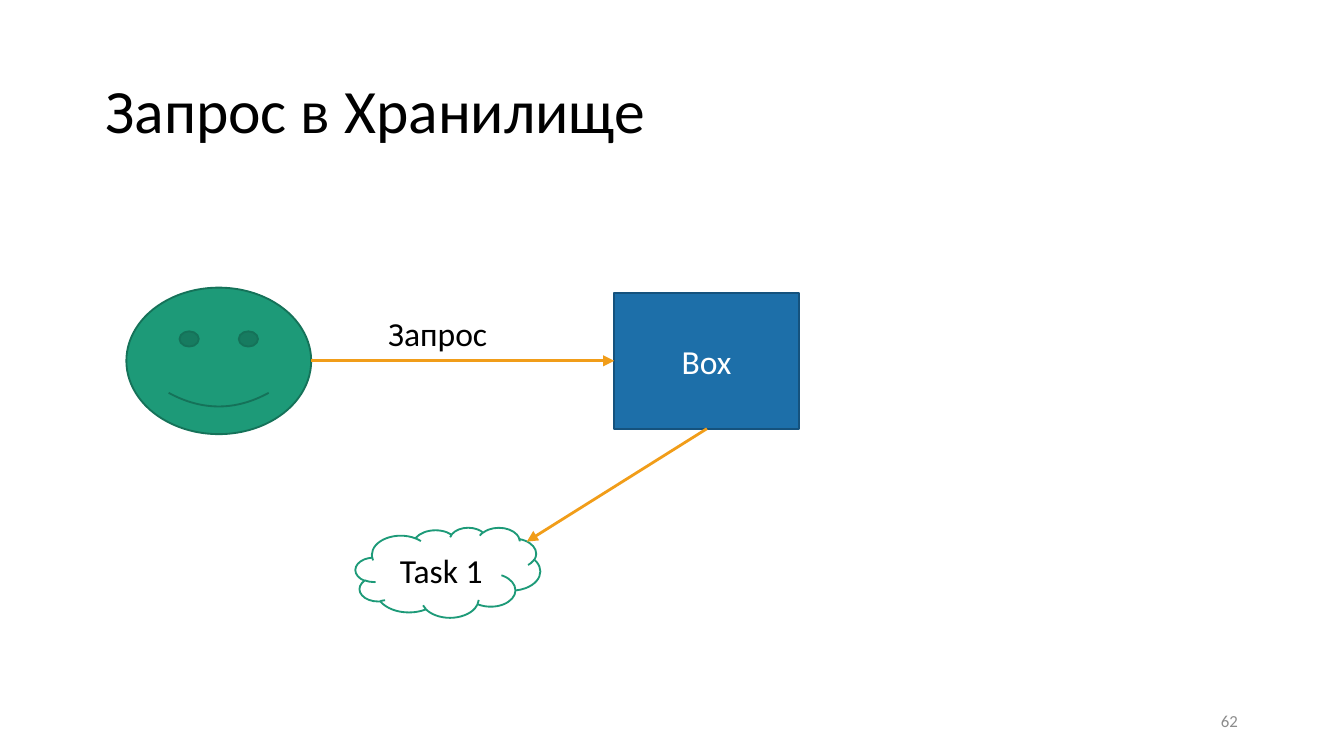
from typing import NamedTuple

from lxml import etree
from pptx import Presentation
from pptx.dml.color import RGBColor
from pptx.enum.shapes import MSO_CONNECTOR, MSO_SHAPE
from pptx.enum.text import MSO_ANCHOR, MSO_AUTO_SIZE, PP_ALIGN
from pptx.oxml.ns import qn
from pptx.util import Pt

EMU_PER_PX = 4572
FONT = "Calibri"
TITLE_ONLY = 5
SMILEY, RECTANGLE, CLOUD = MSO_SHAPE.SMILEY_FACE, MSO_SHAPE.RECTANGLE, MSO_SHAPE.CLOUD
STRAIGHT = MSO_CONNECTOR.STRAIGHT
LEFT, CENTER, RIGHT = PP_ALIGN.LEFT, PP_ALIGN.CENTER, PP_ALIGN.RIGHT
TOP, MIDDLE = MSO_ANCHOR.TOP, MSO_ANCHOR.MIDDLE
NO_AUTOSIZE = MSO_AUTO_SIZE.NONE

COLORS = {
    "white": "FFFFFF",
    "black": "000000",
    "gray": "8C8C8C",
    "green": "1D9A78",
    "dark_green": "157259",
    "blue": "1D6FA9",
    "dark_blue": "15527D",
    "orange": "F19D19",
}


class Area(NamedTuple):
    left: int
    top: int
    width: int
    height: int


class Node(NamedTuple):
    kind: MSO_SHAPE
    area: Area
    fill: str
    outline: str
    text: str = ""
    text_color: str = "black"


class Arrow(NamedTuple):
    start: tuple[int, int]
    end: tuple[int, int]


class Label(NamedTuple):
    area: Area
    text: str
    size: int
    color: str
    align: PP_ALIGN
    anchor: MSO_ANCHOR


NODES = [
    Node(SMILEY, Area(188, 428, 275, 218), "green", "dark_green"),
    Node(RECTANGLE, Area(914, 436, 275, 202), "blue", "dark_blue", "Box", "white"),
    Node(CLOUD, Area(529, 785, 275, 134), "white", "green", "Task 1"),
]
ARROWS = [
    Arrow((463, 537), (914, 537)),
    Arrow((1052, 638), (784, 806)),
]
LABELS = [
    Label(Area(558, 456, 275, 80), "Запрос", 18, "black", LEFT, TOP),
    Label(Area(1412, 1043, 450, 60), "62", 9, "gray", RIGHT, MIDDLE),
]


def px(length: int) -> int:
    return length * EMU_PER_PX


def emu(lengths: tuple[int, ...]) -> list[int]:
    return [px(length) for length in lengths]


def color(name: str) -> RGBColor:
    return RGBColor.from_string(COLORS[name])


def write(frame, text: str, size: int, text_color: str, align: PP_ALIGN, anchor: MSO_ANCHOR) -> None:
    frame.text = text
    frame.word_wrap = True
    frame.auto_size = NO_AUTOSIZE
    frame.vertical_anchor = anchor
    paragraph = frame.paragraphs[0]
    paragraph.alignment = align
    paragraph.font.name = FONT
    paragraph.font.size = Pt(size)
    paragraph.font.color.rgb = color(text_color)


def draw_title(slide, text: str, area: Area) -> None:
    title = slide.shapes.title
    title.left, title.top, title.width, title.height = emu(area)
    write(title.text_frame, text, 33, "black", LEFT, MIDDLE)
    title.text_frame.paragraphs[0].line_spacing = 0.9


def draw_node(slide, node: Node) -> None:
    shape = slide.shapes.add_shape(node.kind, *emu(node.area))
    shape.shadow.inherit = False
    shape.fill.solid()
    shape.fill.fore_color.rgb = color(node.fill)
    shape.line.color.rgb = color(node.outline)
    shape.line.width = Pt(1)
    if node.text:
        write(shape.text_frame, node.text, 18, node.text_color, CENTER, MIDDLE)


def draw_arrow(slide, arrow: Arrow) -> None:
    connector = slide.shapes.add_connector(STRAIGHT, *emu(arrow.start + arrow.end))
    connector.line.color.rgb = color("orange")
    connector.line.width = Pt(1.5)
    properties = connector._element.spPr
    etree.SubElement(properties.find(qn("a:ln")), qn("a:tailEnd"), type="triangle")
    etree.SubElement(properties, qn("a:effectLst"))


def draw_label(slide, label: Label) -> None:
    box = slide.shapes.add_textbox(*emu(label.area))
    write(box.text_frame, label.text, label.size, label.color, label.align, label.anchor)


def main() -> None:
    presentation = Presentation()
    presentation.slide_width, presentation.slide_height = emu((2000, 1125))
    slide = presentation.slides.add_slide(presentation.slide_layouts[TITLE_ONLY])
    draw_title(slide, "Запрос в Хранилище", Area(137, 60, 1725, 217))
    for node in NODES:
        draw_node(slide, node)
    for arrow in ARROWS:
        draw_arrow(slide, arrow)
    for label in LABELS:
        draw_label(slide, label)
    presentation.save("out.pptx")


if __name__ == "__main__":
    main()
